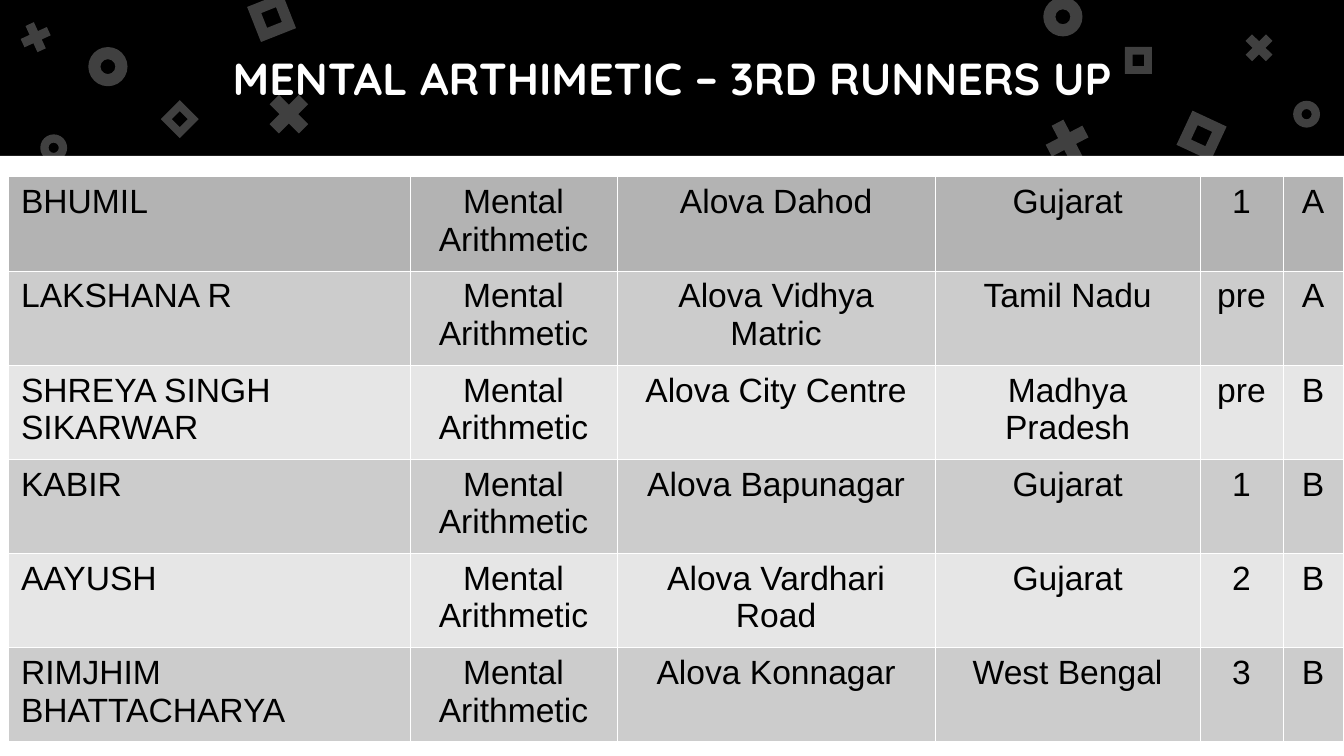
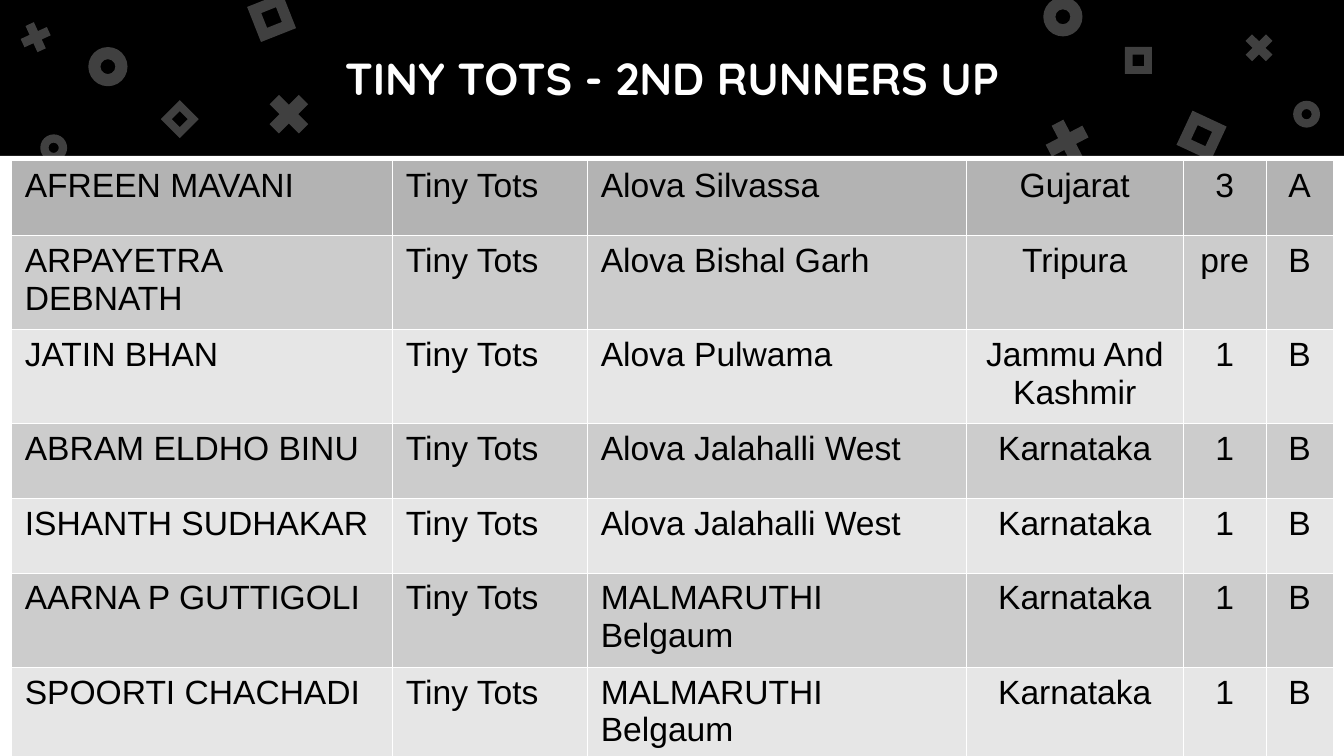
from dataclasses import dataclass
from typing import NamedTuple

from lxml.etree import SubElement
from pptx import Presentation
from pptx.dml.color import RGBColor
from pptx.enum.shapes import MSO_SHAPE as Shp
from pptx.enum.text import MSO_ANCHOR as Anchor, PP_ALIGN as Align
from pptx.oxml.ns import qn
from pptx.util import Pt

GREEN = RGBColor(0x7B, 0xD1, 0x00)
BLACK = RGBColor(0x00, 0x00, 0x00)
WHITE = RGBColor(0xFF, 0xFF, 0xFF)
HEAD_GREY = RGBColor(0xB3, 0xB3, 0xB3)
BAND_GREYS = (RGBColor(0xE6, 0xE6, 0xE6), RGBColor(0xCC, 0xCC, 0xCC))

TITLE_FONT = "Quicksand"
BODY_FONT = "Arial"
SLIDE_W, SLIDE_H = 720, 405
BAND_H = 83.5
BODY_TOP = 83.6
BORDER_W = 0.06
ORNAMENT_ALPHA = 25
RATIOS = {Shp.DONUT: 0.31, Shp.MATH_MULTIPLY: 0.235, Shp.FRAME: 0.289}


class Ornament(NamedTuple):
    kind: Shp
    x: float
    y: float
    size: float
    turn: float = 0


class Winner(NamedTuple):
    name: str
    centre: str
    state: str
    level: str
    group: str


@dataclass
class ResultSlide:
    title: str
    category: str
    left: float
    top: float
    cols: list[float]
    rows: list[float]
    left_cols: int
    winners: list[Winner]


ORNAMENTS = [
    Ornament(Shp.DONUT, 47.3, 25.2, 21),
    Ornament(Shp.MATH_MULTIPLY, 139.7, 46.1, 30.2),
    Ornament(Shp.FRAME, 135.4, -0.7, 20.2, 338.4),
    Ornament(Shp.DONUT, 558.9, -1.5, 21),
    Ornament(Shp.MATH_MULTIPLY, 556.6, 60.5, 30.2, 17.5),
    Ornament(Shp.FRAME, 633.6, 62.6, 20.2, 25),
    Ornament(Shp.DONUT, 21.6, 72, 14.4),
    Ornament(Shp.MATH_MULTIPLY, 8.6, 9.4, 21, 20.4),
    Ornament(Shp.FRAME, 89.1, 56.7, 14.4, 45),
    Ornament(Shp.DONUT, 692.8, 54, 14.4),
    Ornament(Shp.MATH_MULTIPLY, 664, 15.1, 21),
    Ornament(Shp.FRAME, 602.7, 25.2, 14.4),
]

RESULTS = [
    ResultSlide(
        "MENTAL ARTHIMETIC – 3RD RUNNERS UP",
        "Mental Arithmetic",
        4.1, 94.6,
        [215.5, 111, 170.4, 142, 44.3, 32.4],
        [48.5] * 6,
        1,
        [
            Winner("BHUMIL", "Alova Dahod", "Gujarat", "1", "A"),
            Winner("LAKSHANA R", "Alova Vidhya Matric", "Tamil Nadu", "pre", "A"),
            Winner("SHREYA SINGH SIKARWAR", "Alova City Centre", "Madhya Pradesh", "pre", "B"),
            Winner("KABIR", "Alova Bapunagar", "Gujarat", "1", "B"),
            Winner("AAYUSH", "Alova Vardhari Road", "Gujarat", "2", "B"),
            Winner("RIMJHIM BHATTACHARYA", "Alova Konnagar", "West Bengal", "3", "B"),
        ],
    ),
    ResultSlide(
        "TINY TOTS - 2ND RUNNERS UP",
        "Tiny Tots",
        6.1, 86,
        [204.2, 104.4, 203, 116.2, 44.5, 35.8],
        [40, 47.7, 47.7, 40, 40, 47.7, 47.7],
        3,
        [
            Winner("AFREEN MAVANI", "Alova Silvassa", "Gujarat", "3", "A"),
            Winner("ARPAYETRA DEBNATH", "Alova Bishal Garh", "Tripura", "pre", "B"),
            Winner("JATIN BHAN", "Alova Pulwama", "Jammu And Kashmir", "1", "B"),
            Winner("ABRAM ELDHO BINU", "Alova Jalahalli West", "Karnataka", "1", "B"),
            Winner("ISHANTH SUDHAKAR", "Alova Jalahalli West", "Karnataka", "1", "B"),
            Winner("AARNA P GUTTIGOLI", "MALMARUTHI Belgaum", "Karnataka", "1", "B"),
            Winner("SPOORTI CHACHADI", "MALMARUTHI Belgaum", "Karnataka", "1", "B"),
        ],
    ),
]


def add_filled(s, kind: Shp, x: float, y: float, w: float, h: float, color: RGBColor):
    sp = s.shapes.add_shape(kind, Pt(x), Pt(y), Pt(w), Pt(h))
    sp.shadow.inherit = False
    sp.fill.solid()
    sp.fill.fore_color.rgb = color
    sp.line.fill.background()
    return sp


def add_ornament(s, o: Ornament) -> None:
    sp = add_filled(s, o.kind, o.x, o.y, o.size, o.size, WHITE)
    sp.adjustments[0] = RATIOS[o.kind]
    sp.rotation = o.turn
    clr = sp._element.spPr.find(qn("a:solidFill")).find(qn("a:srgbClr"))
    SubElement(clr, qn("a:alpha"), val=str(ORNAMENT_ALPHA * 1000))


def add_backdrop(s) -> None:
    s.background.fill.solid()
    s.background.fill.fore_color.rgb = GREEN
    add_filled(s, Shp.RECTANGLE, 0, 0, SLIDE_W, BAND_H, BLACK)
    add_filled(s, Shp.RECTANGLE, 0, BODY_TOP, SLIDE_W, SLIDE_H - BODY_TOP, WHITE)
    for o in ORNAMENTS:
        add_ornament(s, o)


def set_text(p, text: str, font: str, size: float, color: RGBColor, align: Align, bold: bool = False) -> None:
    p.text = text
    p.alignment = align
    for r in p.runs:
        r.font.name = font
        r.font.size = Pt(size)
        r.font.bold = bold
        r.font.color.rgb = color


def add_title(s, text: str) -> None:
    tf = s.shapes.add_textbox(Pt(36), Pt(0), Pt(SLIDE_W - 72), Pt(BAND_H)).text_frame
    tf.word_wrap = True
    tf.vertical_anchor = Anchor.MIDDLE
    tf.margin_left = tf.margin_right = tf.margin_top = tf.margin_bottom = Pt(7.2)
    set_text(tf.paragraphs[0], text, TITLE_FONT, 24, WHITE, Align.CENTER, True)


def set_borders(cell) -> None:
    pr = cell._tc.get_or_add_tcPr()
    for side in ("lnL", "lnR", "lnT", "lnB"):
        ln = SubElement(pr, qn(f"a:{side}"), w=str(int(Pt(BORDER_W))))
        fill = SubElement(ln, qn("a:solidFill"))
        SubElement(fill, qn("a:srgbClr"), val=str(WHITE))


def add_results(s, res: ResultSlide) -> None:
    table = s.shapes.add_table(
        len(res.rows), len(res.cols), Pt(res.left), Pt(res.top), Pt(sum(res.cols)), Pt(sum(res.rows))
    ).table
    table.first_row = table.horz_banding = False
    for col, width in zip(table.columns, res.cols):
        col.width = Pt(width)
    for i, (row, height, winner) in enumerate(zip(table.rows, res.rows, res.winners)):
        row.height = Pt(height)
        name, *rest = winner
        for j, (cell, text) in enumerate(zip(row.cells, [name, res.category, *rest])):
            set_borders(cell)
            cell.fill.solid()
            cell.fill.fore_color.rgb = BAND_GREYS[i % 2] if i else HEAD_GREY
            cell.margin_left = cell.margin_right = Pt(7.2)
            cell.margin_top = cell.margin_bottom = Pt(3.6)
            align = Align.LEFT if j < res.left_cols else Align.CENTER
            set_text(cell.text_frame.paragraphs[0], text, BODY_FONT, 18, BLACK, align)


def main() -> None:
    prs = Presentation()
    prs.slide_width, prs.slide_height = Pt(SLIDE_W), Pt(SLIDE_H)
    for res in RESULTS:
        s = prs.slides.add_slide(prs.slide_layouts[6])
        add_backdrop(s)
        add_title(s, res.title)
        add_results(s, res)
    prs.save("out.pptx")


if __name__ == "__main__":
    main()
